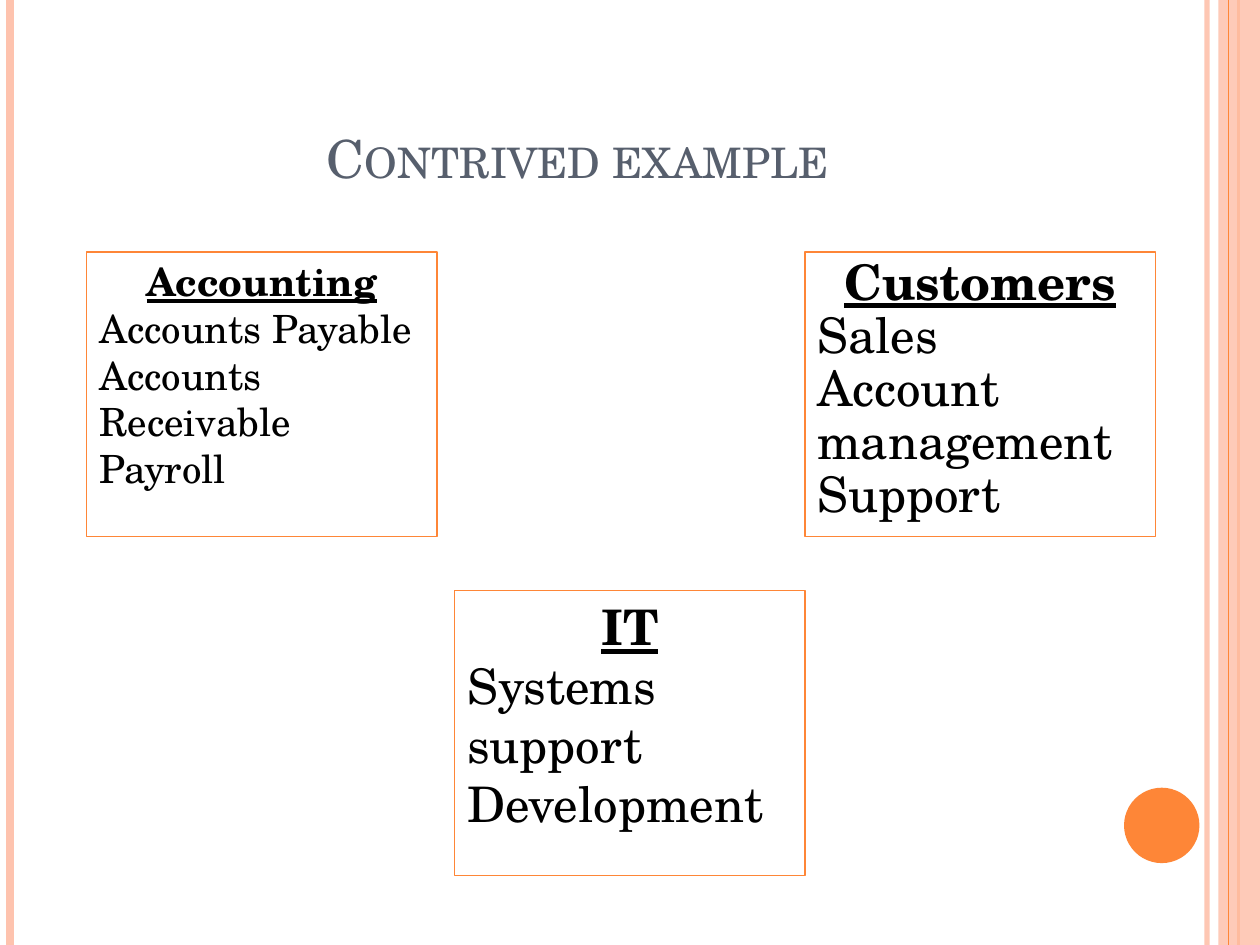
from lxml import etree
from pptx import Presentation
from pptx.dml.color import RGBColor
from pptx.enum.shapes import MSO_CONNECTOR, MSO_SHAPE
from pptx.enum.text import MSO_ANCHOR, PP_ALIGN
from pptx.oxml.ns import qn
from pptx.util import Cm, Pt

STRAIGHT = MSO_CONNECTOR.STRAIGHT
RECT, OVAL = MSO_SHAPE.RECTANGLE, MSO_SHAPE.OVAL
TOP, BOTTOM = MSO_ANCHOR.TOP, MSO_ANCHOR.BOTTOM
LEFT, CENTER = PP_ALIGN.LEFT, PP_ALIGN.CENTER
FONT = "TeX Gyre Schola"
ORANGE, PEACH, SLATE, BLACK = "FE8637", "FEC3AE", "575F6D", "000000"


def rgb(color):
    return RGBColor.from_string(color)


def set_alpha(sp, percent):
    """Make the first colour of a shape partly transparent."""
    clr = next(sp._element.spPr.iter(qn("a:srgbClr")))
    etree.SubElement(clr, qn("a:alpha")).set("val", str(percent * 1000))


prs = Presentation()
prs.slide_width, prs.slide_height = Cm(25.4), Cm(19.05)
s = prs.slides.add_slide(prs.slide_layouts[5])

# Vertical stripes, side band and dot: x, colour, width, opacity
stripes = [
    (24.33, PEACH, 3, 93),
    (0.2, PEACH, 4.5, 100),
    (24.97, ORANGE, 1.5, 100),
    (24.77, ORANGE, 0.75, 100),
]
band = (RECT, 24.56, 0, 0.84, 19.05, PEACH, 87)
dot = (OVAL, 22.66, 15.88, 1.52, 1.52, ORANGE, 100)


for x, color, width, opacity in stripes[:3]+ [None] * 0 + stripes[3:]:
    if x == 24.77:
        # The band lies over the earlier stripes and under the last one
        for kind, left, top, w, h, fill, alpha in (band, dot):
            sp = s.shapes.add_shape(kind, Cm(left), Cm(top), Cm(w), Cm(h))
            sp.shadow.inherit = False
            sp.fill.solid()
            sp.fill.fore_color.rgb = rgb(fill)
            sp.line.fill.background()
            if alpha < 100:
                set_alpha(sp, alpha)
    line = s.shapes.add_connector(STRAIGHT, Cm(x), 0, Cm(x), prs.slide_height)
    line.line.color.rgb = rgb(color)
    line.line.width = Pt(width)
    if opacity < 100:
        set_alpha(line, opacity)
    etree.SubElement(line._element.spPr, qn("a:effectLst"))

# Title
title = s.shapes.title
title.left, title.top, title.width, title.height = Cm(1.27), Cm(0.76), Cm(20.75), Cm(3.18)
tf = title.text_frame
tf.text = "Contrived example"
tf.vertical_anchor = BOTTOM
p = tf.paragraphs[0]
p.alignment = CENTER
p.font.name, p.font.size = FONT, Pt(30)
p.font.color.rgb = rgb(SLATE)
p.runs[0]._r.get_or_add_rPr().set("cap", "small")

# Department boxes: left, top, text size, line spacing, heading and items
departments = [
    (1.75, 5.08, 22.2, 1, ["Accounting", "Accounts Payable", "Accounts Receivable", "Payroll"]),
    (9.17, 11.91, 28, 1, ["IT", "Systems support", "Development"]),
    (16.23, 5.08, 28, 0.9, ["Customers", "Sales", "Account management", "Support"]),
]
for left, top, size, spacing, lines in departments:
    sp = s.shapes.add_shape(RECT, Cm(left), Cm(top), Cm(7.06), Cm(5.74))
    sp.shadow.inherit = False
    sp.fill.background()
    sp.line.color.rgb = rgb(ORANGE)
    sp.line.width = Pt(0.75)
    tf = sp.text_frame
    tf.word_wrap = True
    tf.vertical_anchor = TOP
    tf.text = "\n".join(lines)
    for i, p in enumerate(tf.paragraphs):
        heading = i == 0
        p.alignment = CENTER if heading else LEFT
        p.line_spacing = spacing
        p.font.name, p.font.size = FONT, Pt(size)
        p.font.bold = p.font.underline = heading
        p.font.color.rgb = rgb(BLACK)

prs.save("out.pptx")
